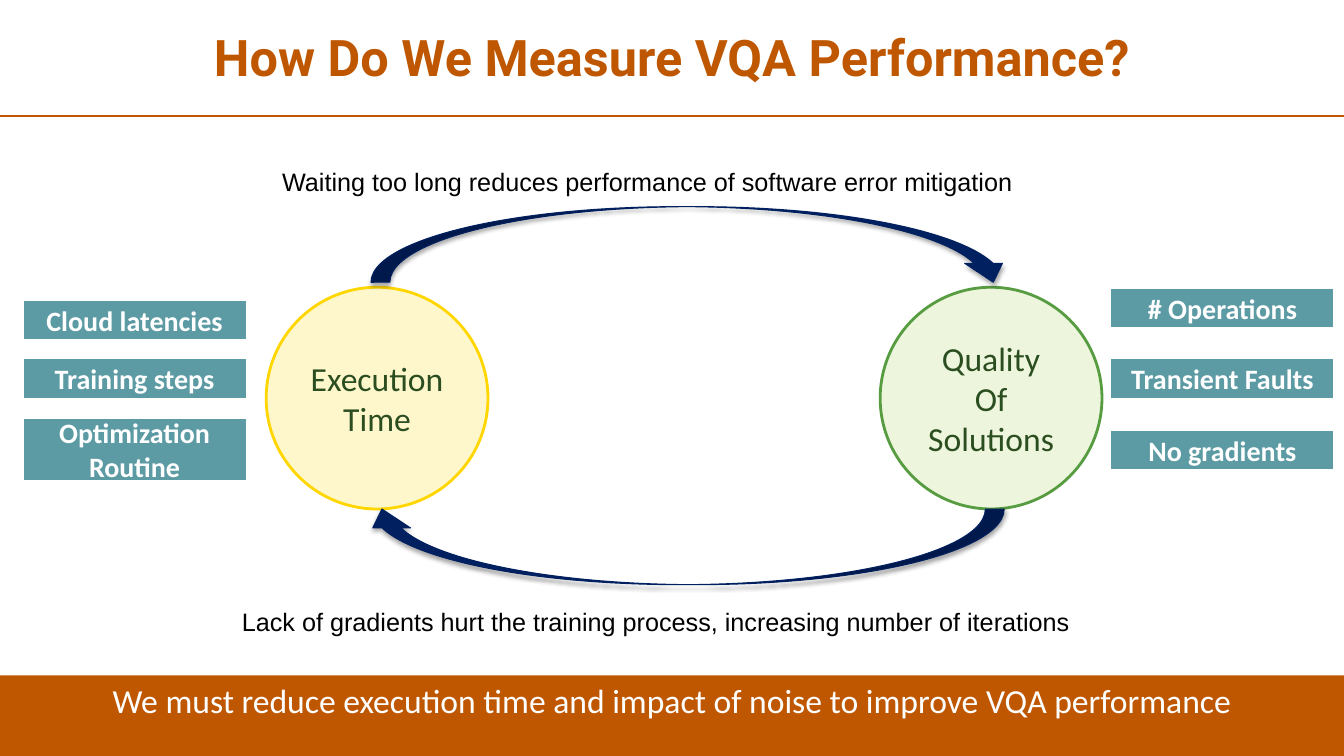
from lxml.etree import SubElement
from pptx import Presentation
from pptx.dml.color import RGBColor
from pptx.enum.shapes import MSO_CONNECTOR, MSO_SHAPE
from pptx.enum.text import MSO_ANCHOR, MSO_AUTO_SIZE, PP_ALIGN
from pptx.oxml.ns import qn
from pptx.util import Inches, Pt

ORANGE, NAVY, TEAL, WHITE = "BF5700", "002060", "5C9BA4", "FFFFFF"


def write(shape, text, size, font, color, bold=False, align=PP_ALIGN.CENTER):
    para = shape.text_frame.paragraphs[0]
    para.alignment = align
    run = para.add_run()
    run.text = text
    run.font.size, run.font.name, run.font.bold = Pt(size), font, bold
    run.font.color.rgb = RGBColor.from_string(color)
    return para


def draw(kind, box, fill, line=None, width=2):
    """Add a preset shape; box is left, top, width, height in inches."""
    shape = slide.shapes.add_shape(kind, *map(Inches, box))
    shape.shadow.inherit = False
    shape.fill.solid()
    shape.fill.fore_color.rgb = RGBColor.from_string(fill)
    if line:
        shape.line.color.rgb = RGBColor.from_string(line)
        shape.line.width = Pt(width)
    else:
        shape.line.fill.background()
    shape.text_frame.word_wrap = True
    shape.text_frame.vertical_anchor = MSO_ANCHOR.MIDDLE
    return shape


deck = Presentation()
deck.slide_width, deck.slide_height = Inches(13.33), Inches(7.5)
slide = deck.slides.add_slide(deck.slide_layouts[5])

# Title and rule
title = slide.shapes.title
title.left, title.top = Inches(0.09), Inches(0.04)
title.width, title.height = Inches(13.15), Inches(1.11)
title.text_frame.auto_size = MSO_AUTO_SIZE.NONE
title.text_frame.vertical_anchor = MSO_ANCHOR.MIDDLE
para = write(title, "How Do We Measure VQA Performance?", 36, "Roboto", "BE5700", True)
para.line_spacing = 0.9

rule = slide.shapes.add_connector(
    MSO_CONNECTOR.STRAIGHT, 0, Inches(1.15), Inches(13.33), Inches(1.15))
rule.line.color.rgb = RGBColor.from_string(ORANGE)
rule.line.width = Pt(1.5)
SubElement(rule._element.spPr, qn("a:effectLst"))

# Takeaway banner
banner = draw(MSO_SHAPE.RECTANGLE, (0, 6.7, 13.33, 0.8), ORANGE)
banner.text_frame.vertical_anchor = MSO_ANCHOR.TOP
write(banner, "We must reduce execution time and impact of noise to improve VQA performance",
      24, "Calibri", WHITE)

# The two measures
for left, text, fill, line in [
    (2.64, "Execution Time", "FFF7CC", "FFD600"),
    (8.73, "Quality Of Solutions", "EDF5DD", "579C41"),
]:
    circle = draw(MSO_SHAPE.OVAL, (left, 2.85, 2.2, 2.2), fill, line)
    write(circle, text, 24, "Calibri", "2B4E20")

# Arrows of the cycle, with a soft shadow below
for left, top, turn in [(3.68, 2.05, 0), (3.6, 5.05, 180)]:
    arrow = draw(MSO_SHAPE.CURVED_DOWN_ARROW, (left, top, 6.36, 0.75), NAVY, NAVY, 0.75)
    arrow.rotation = turn
    effects = arrow._element.spPr.find(qn("a:effectLst"))
    shade = SubElement(effects, qn("a:outerShdw"), blurRad=str(Pt(3.1)),
                       dist=str(Pt(1.8)), dir="5400000", rotWithShape="0")
    black = SubElement(shade, qn("a:srgbClr"), val="000000")
    SubElement(black, qn("a:alpha"), val="35000")

# Factors beside each measure
for left, top, high, text in [
    (0.22, 2.97, 0.41, "Cloud latencies"),
    (0.22, 3.55, 0.41, "Training steps"),
    (0.22, 4.14, 0.64, "Optimization Routine"),
    (11.01, 2.85, 0.41, "# Operations"),
    (11.01, 3.55, 0.41, "Transient Faults"),
    (11.01, 4.26, 0.41, "No gradients"),
]:
    factor = draw(MSO_SHAPE.RECTANGLE, (left, top, 2.23, high), TEAL, WHITE)
    write(factor, text, 20, "Calibri", WHITE, True)

# Notes on the arrows
for left, top, width, text in [
    (2.7, 1.6, 8.17, "Waiting too long reduces performance of software error mitigation"),
    (2.3, 5.97, 9.12,
     "Lack of gradients hurt the training process, increasing number of iterations"),
]:
    note = slide.shapes.add_textbox(Inches(left), Inches(top), Inches(width), Inches(0.4))
    note.text_frame.word_wrap = False
    note.text_frame.auto_size = MSO_AUTO_SIZE.SHAPE_TO_FIT_TEXT
    write(note, text, 18, "Arial", "000000", align=PP_ALIGN.LEFT)

deck.save("out.pptx")
